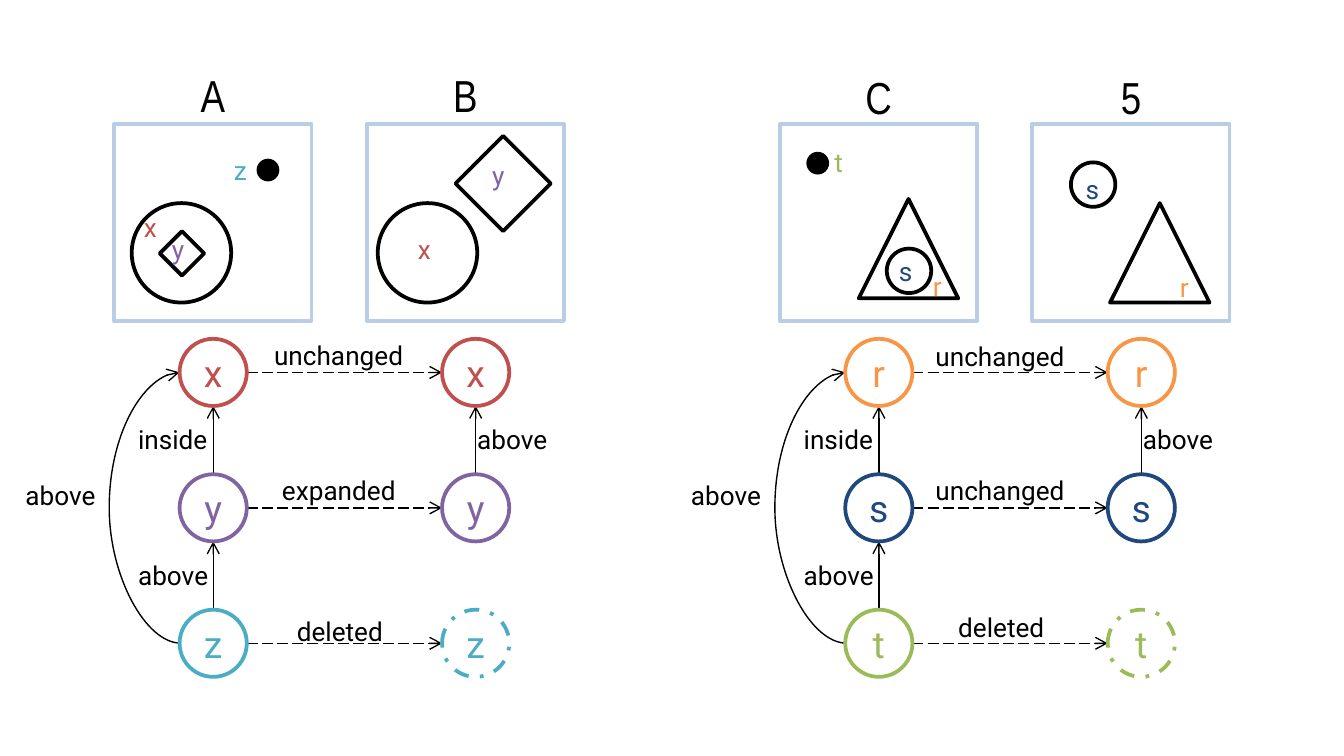
"""Build a slide of two analogy puzzles, each with its panels and its graph of object relations."""
from lxml import etree
from pptx import Presentation
from pptx import util as u
from pptx.dml.color import RGBColor
from pptx.enum import dml, shapes, text
from pptx.oxml.ns import qn

COLORS = {"ink": "000000", "paper": "FFFFFF", "frame": "B9CDE5",
          "x": "C0504D", "y": "8064A2", "z": "4BACC6",
          "r": "F79646", "s": "1F497D", "t": "9BBB59"}
KINDS = {"rect": shapes.MSO_SHAPE.RECTANGLE, "ellipse": shapes.MSO_SHAPE.OVAL,
         "diamond": shapes.MSO_SHAPE.DIAMOND, "triangle": shapes.MSO_SHAPE.ISOSCELES_TRIANGLE}
PUZZLE_PITCH, FRAME_SIZE, NODE_SIZE, LINE_HEIGHT = 12.58, 3.73, 1.27, 0.61
NODE_RADIUS = NODE_SIZE / 2
BEFORE, AFTER = 4.03, 8.99
ROWS = [7.04 + 2.56 * i for i in range(3)]
BULGE, LEAN = 1.36, 0.03

prs = Presentation()
prs.slide_width, prs.slide_height = u.Cm(25.4), u.Cm(14.29)
slide = prs.slides.add_slide(prs.slide_layouts[6])


def draw(kind, left, top, size, fill="paper", line="ink"):
    figure = slide.shapes.add_shape(KINDS[kind], u.Cm(left), u.Cm(top), u.Cm(size), u.Cm(size))
    figure.shadow.inherit = False
    if fill:
        figure.fill.solid()
        figure.fill.fore_color.rgb = RGBColor.from_string(COLORS[fill])
    else:
        figure.fill.background()
    if line:
        figure.line.color.rgb = RGBColor.from_string(COLORS[line])
        figure.line.width = u.Pt(2)
    else:
        figure.line.fill.background()
    return figure


def write(words, size, color="ink", box=None, holder=None, inset=False, wrap=False,
          font="Roboto", align=None, anchor=text.MSO_ANCHOR.TOP):
    holder = holder or slide.shapes.add_textbox(*[u.Cm(length) for length in box])
    frame = holder.text_frame
    frame.word_wrap, frame.vertical_anchor = wrap, anchor
    if not inset:
        frame.margin_left = frame.margin_right = frame.margin_top = frame.margin_bottom = 0
    frame.paragraphs[0].alignment = align
    run = frame.paragraphs[0].add_run()
    run.text = words
    run.font.size, run.font.name = u.Pt(size), font
    run.font.color.rgb = RGBColor.from_string(COLORS[color])


puzzles = [
    {"titles": "AB", "title_top": 1.27, "objects": "xyz",
     "figures": [("ellipse", 2.49, 3.84, 1.88), ("diamond", 3.02, 4.37, 0.84),
                 ("ellipse", 7.14, 3.84, 1.88), ("diamond", 8.61, 2.57, 1.8)],
     "dot": (4.85, 3.0),
     "letters": [("x", 2.72, 3.99, 0.28), ("y", 3.25, 4.42, 0.3), ("z", 4.42, 2.92, 0.25),
                 ("x", 7.9, 4.42, 0.28), ("y", 9.3, 3.02, 0.3)],
     "inset": True,
     "changes": [("unchanged", 4.93, 6.3, 3.2, 0.86), ("expanded", 5.08, 8.84, 2.9, 0.86),
                 ("deleted", 5.36, 11.51, 2.34, 0.86)]},
    {"titles": "C5", "title_top": 1.32, "objects": "rst",
     "figures": [("triangle", 16.23, 3.76, 1.88), ("ellipse", 16.76, 4.7, 0.84),
                 ("ellipse", 20.24, 3.07, 0.84), ("triangle", 20.98, 3.84, 1.88)],
     "dot": (15.24, 2.87),
     "letters": [("r", 17.63, 5.11, 0.25), ("s", 16.99, 4.83, 0.2), ("t", 15.77, 2.77, 0.23),
                 ("r", 22.3, 5.13, 0.25), ("s", 20.52, 3.28, 0.2)],
     "inset": False,
     "changes": [("unchanged", 17.68, 6.43, 2.69, LINE_HEIGHT),
                 ("unchanged", 17.68, 8.97, 2.69, LINE_HEIGHT),
                 ("deleted", 18.11, 11.56, 1.8, LINE_HEIGHT)]},
]
relations = [("inside", 2.36, 7.87, 1.93), ("above", 2.36, 10.44, 1.91),
             ("above", 0.23, 8.94, 1.91), ("above", 8.77, 7.87, 1.91)]

straight, curve = shapes.MSO_CONNECTOR.STRAIGHT, shapes.MSO_CONNECTOR.CURVE
before_left = BEFORE - NODE_RADIUS
arrows = [(curve, before_left + LEAN, ROWS[2], before_left, ROWS[0], None)]
arrows += [(straight, column, ROWS[i + 1] - NODE_RADIUS, column, ROWS[i] + NODE_RADIUS, None)
           for column, i in ((BEFORE, 1), (BEFORE, 0), (AFTER, 0))]
arrows += [(straight, BEFORE + NODE_RADIUS, row, AFTER - NODE_RADIUS, row, dml.MSO_LINE.LONG_DASH)
           for row in ROWS]

for number, puzzle in enumerate(puzzles):
    shift = number * PUZZLE_PITCH

    for kind, x1, y1, x2, y2, dash in arrows:
        arrow = slide.shapes.add_connector(
            kind, u.Cm(x1 + shift), u.Cm(y1), u.Cm(x2 + shift), u.Cm(y2))
        arrow.line.color.rgb = RGBColor.from_string(COLORS["ink"])
        arrow.line.width = u.Pt(0.75)
        if dash:
            arrow.line.dash_style = dash
        properties = arrow._element.spPr
        etree.SubElement(properties.find(qn("a:ln")), qn("a:tailEnd"), type="arrow")
        etree.SubElement(properties, qn("a:effectLst"))
        if kind == curve:
            bend = properties.find(qn("a:prstGeom")).find(qn("a:avLst"))
            etree.SubElement(bend, qn("a:gd"), name="adj1",
                             fmla=f"val {round(BULGE / LEAN * 100000)}")

    for words, left, top, width in relations:
        write(words, 14, box=(left + shift, top, width, 0.86), inset=True)
    for words, *box in puzzle["changes"]:
        write(words, 14, box=box, inset=puzzle["inset"])

    for title, left in zip(puzzle["titles"], (2.16, 6.93)):
        draw("rect", left + shift, 2.34, FRAME_SIZE, fill=None, line="frame")
        write(title, 24, box=(left + shift, puzzle["title_top"], FRAME_SIZE, 1.02), wrap=True,
              font="Arial Narrow", align=text.PP_ALIGN.CENTER, anchor=text.MSO_ANCHOR.BOTTOM)
    for figure in puzzle["figures"]:
        draw(*figure)
    draw("ellipse", *puzzle["dot"], 0.43, fill="ink", line=None)
    for letter, left, top, width in puzzle["letters"]:
        write(letter, 14, letter, box=(left, top, width, LINE_HEIGHT))

    for letter, row in zip(puzzle["objects"], ROWS):
        for column in (BEFORE, AFTER):
            node = draw("ellipse", column - NODE_RADIUS + shift, row - NODE_RADIUS,
                        NODE_SIZE, line=letter)
            if column == AFTER and row == ROWS[-1]:
                node.line.dash_style = dml.MSO_LINE.DASH_DOT
            write(letter, 20, letter, holder=node, wrap=True,
                  align=text.PP_ALIGN.CENTER, anchor=text.MSO_ANCHOR.MIDDLE)

prs.save("out.pptx")
